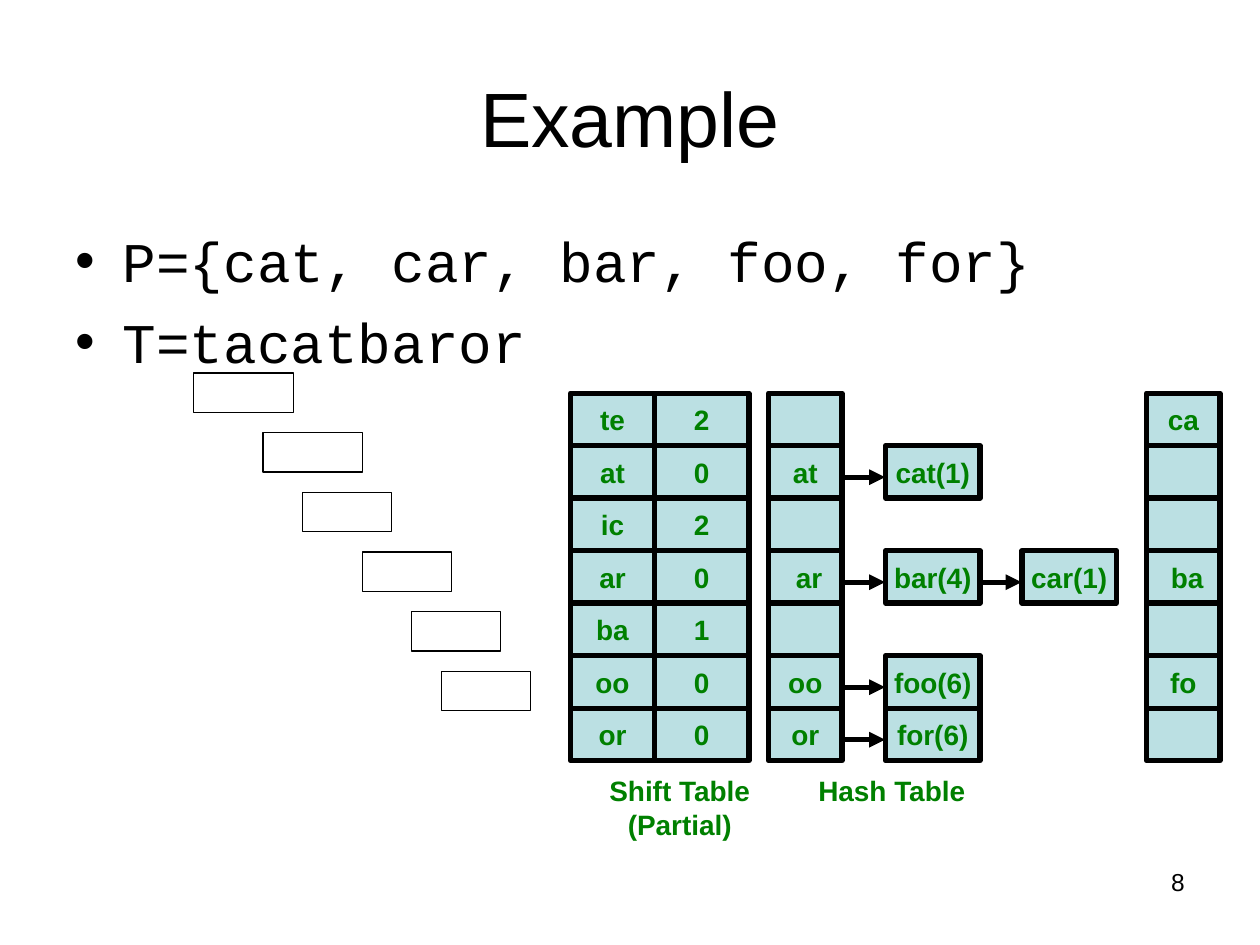
from lxml.etree import SubElement
from pptx import Presentation
from pptx.dml.color import RGBColor
from pptx.enum.shapes import MSO_CONNECTOR, MSO_SHAPE
from pptx.enum.text import MSO_ANCHOR, PP_ALIGN
from pptx.oxml.ns import qn
from pptx.util import Pt

HUES = {"ink": "000000", "cell": "BBE0E3", "mark": "008000"}
TOP, ROW = 224.7, 30  # first row of the tables, row height


def tint(name):
    return RGBColor.from_string(HUES[name])


class Deck:
    def __init__(self):
        self.prs = Presentation()
        self.prs.slide_width, self.prs.slide_height = Pt(720), Pt(540)
        self.slide = self.prs.slides.add_slide(self.prs.slide_layouts[5])
        self.shapes = self.slide.shapes

    def style(self, shape, text, size, hue, align, font="Arial", bold=False,
              wrap=True, anchor=MSO_ANCHOR.TOP):
        frame = shape.text_frame
        frame.text = text
        frame.word_wrap = wrap
        frame.vertical_anchor = anchor
        for para in frame.paragraphs:
            para.alignment = align
            for run in para.runs:
                run.font.size, run.font.name = Pt(size), font
                run.font.bold = bold
                run.font.color.rgb = tint(hue)
        return frame

    def title(self, text, *box):
        head = self.shapes.title
        head.left, head.top, head.width, head.height = map(Pt, box)
        self.style(head, text, 44, "ink", PP_ALIGN.CENTER,
                   anchor=MSO_ANCHOR.MIDDLE)

    def text(self, text, *box, **look):
        return self.style(self.shapes.add_textbox(*map(Pt, box)), text, **look)

    def bullets(self, items, *box):
        frame = self.text("\n".join(items), *box, size=32, hue="ink",
                          align=PP_ALIGN.LEFT, font="Courier New")
        for num, para in enumerate(frame.paragraphs):
            para.space_before = Pt(8 if num else 0)
            props = para._p.get_or_add_pPr()
            props.set("marL", str(Pt(27)))
            props.set("indent", str(-Pt(27)))
            SubElement(props, qn("a:buFont"), typeface="Arial")
            SubElement(props, qn("a:buChar"), char="•")

    def label(self, text, *box):
        self.text(text, *box, size=16, hue="mark", align=PP_ALIGN.CENTER,
                  bold=True, wrap=False)

    def rect(self, left, top, width, height, line):
        shape = self.shapes.add_shape(
            MSO_SHAPE.RECTANGLE, *map(Pt, (left, top, width, height)))
        shape.shadow.inherit = False
        shape.fill.background()
        shape.line.color.rgb = tint("ink")
        shape.line.width = Pt(line)
        return shape

    def cell(self, text, left, row, width):
        shape = self.rect(left, TOP + row * ROW, width, ROW, 3)
        shape.fill.solid()
        shape.fill.fore_color.rgb = tint("cell")
        if text:
            frame = self.style(shape, text, 16, "mark", PP_ALIGN.CENTER,
                               bold=True, wrap=False, anchor=MSO_ANCHOR.MIDDLE)
            frame.margin_left = frame.margin_right = 0

    def column(self, texts, left, width):
        for row, text in enumerate(texts):
            self.cell(text, left, row, width)

    def arrow(self, left, row):
        y = TOP + row * ROW + 18
        link = self.shapes.add_connector(
            MSO_CONNECTOR.STRAIGHT, Pt(left), Pt(y), Pt(left + 23.7), Pt(y))
        link.line.color.rgb = tint("ink")
        link.line.width = Pt(3)
        props = link._element.spPr
        SubElement(props.find(qn("a:ln")), qn("a:tailEnd"), type="triangle")
        SubElement(props, qn("a:effectLst"))


def main():
    deck = Deck()
    deck.title("Example", 36, 21.6, 648, 90)
    deck.bullets(["P={cat, car, bar, foo, for}", "T=tacatbaror"],
                 36, 126, 648, 356.4)

    # Shift table, hash table and prefix column
    deck.column(["te", "at", "ic", "ar", "ba", "oo", "or"], 326, 48)
    deck.column("2020100", 374, 54)
    deck.column(["", "at", "", " ar", "", "oo", "or"], 439.2, 42)
    deck.column(["ca", "", "", " ba", "", "fo", ""], 655.2, 42)

    # Chains of the hash table
    chains = {1: ["cat(1)"], 3: ["bar(4)", "car(1)"],
              5: ["foo(6)"], 6: ["for(6)"]}
    for row, words in chains.items():
        for step, word in enumerate(words):
            left = 506 + 78 * step
            deck.cell(word, left, row, 54)
            deck.arrow(left - 24, row)

    # Captions
    deck.label("Shift Table\n(Partial)", 326, 438.5, 124.8, 46)
    deck.label("Hash Table", 445.6, 438.5, 128, 26.6)

    # Sliding windows under the text T
    spots = [(110.7, 57), (150.3, 57), (172.8, 51),
             (207, 51), (235.2, 51), (252.2, 51)]
    for step, (left, width) in enumerate(spots):
        deck.rect(left, 213.2 + 34.07 * step, width, 22.5, 0.75)

    # Page number
    deck.text("8", 516, 492, 168, 37.4, size=14, hue="ink",
              align=PP_ALIGN.RIGHT)
    deck.prs.save("out.pptx")


if __name__ == "__main__":
    main()
